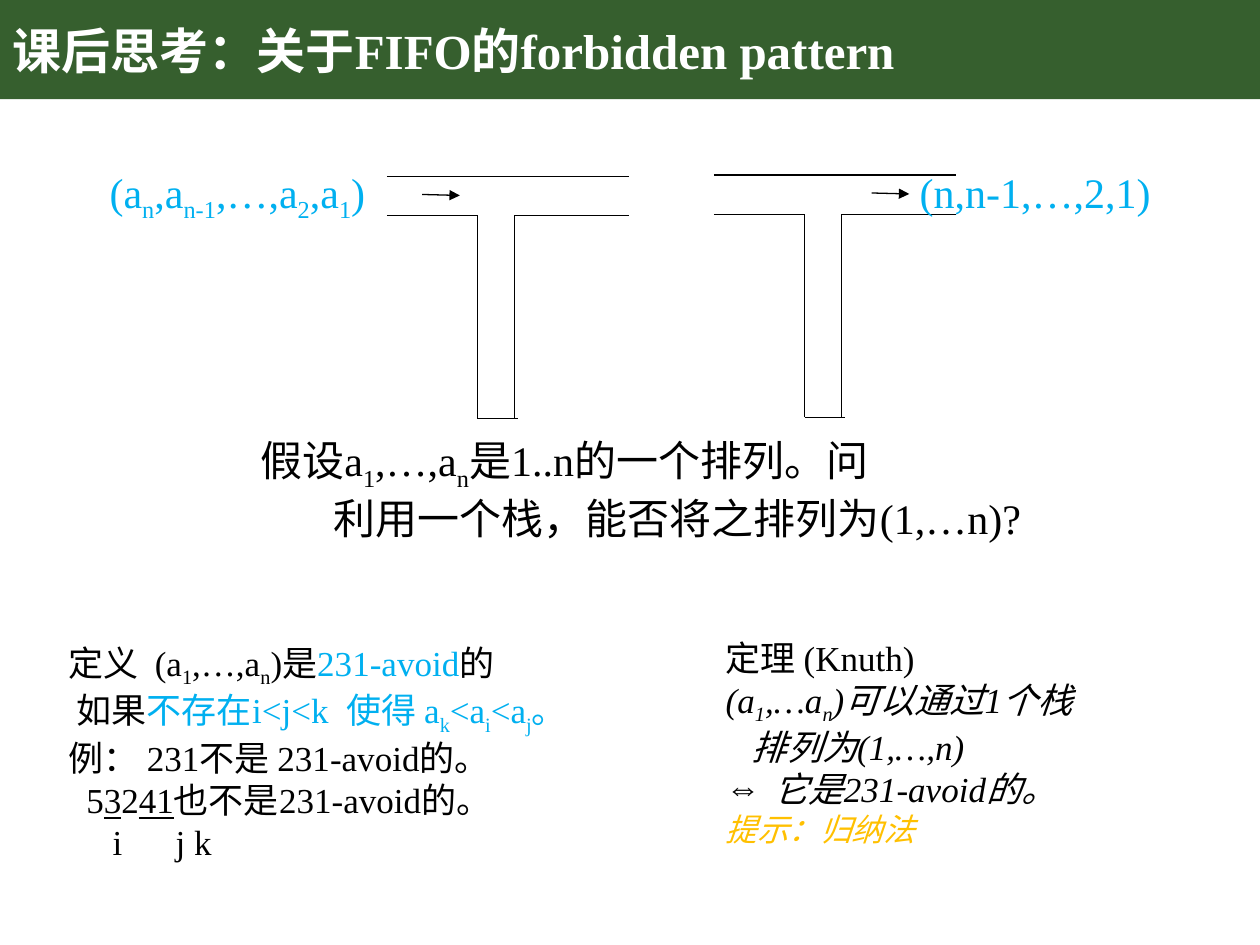
from dataclasses import dataclass
from typing import Optional

from lxml.etree import SubElement
from pptx import Presentation
from pptx.dml.color import RGBColor
from pptx.enum.shapes import MSO_CONNECTOR as Connector, MSO_SHAPE as Shape
from pptx.enum.text import MSO_ANCHOR as Anchor, MSO_AUTO_SIZE as AutoSize
from pptx.oxml.ns import qn
from pptx.util import Cm, Pt


@dataclass(frozen=True)
class Theme:
    font: str = "Times New Roman"
    banner: str = "365F2E"
    white: str = "FFFFFF"
    ink: str = "000000"
    accent: str = "00B0F0"
    hint: str = "FFC000"
    title_size: int = 28
    large: int = 24
    body: int = 20
    small: int = 18
    line_width: float = 0.75


THEME = Theme()


@dataclass(frozen=True)
class Span:
    text: str
    color: str = THEME.ink
    sub: bool = False
    underline: bool = False


@dataclass(frozen=True)
class Para:
    spans: list[Span]
    size: int = THEME.body
    bold: bool = False
    italic: bool = False
    margin: float = 0
    hanging: float = 0
    bullet: Optional[str] = None
    tab: Optional[float] = None


@dataclass(frozen=True)
class TextBlock:
    left: float
    top: float
    width: float
    height: float
    paras: list[Para]
    centered: bool = False


@dataclass(frozen=True)
class Stack:
    left: float
    top: float
    arrow_offset: float


def indexed(text: str, color: str = THEME.ink) -> list[Span]:
    """Split text at bars; every second piece is a subscript."""
    return [Span(piece, color, sub=bool(i % 2))
            for i, piece in enumerate(text.split("|"))]


def add_span(para, span: Span, style: Para) -> None:
    for i, line in enumerate(span.text.split("\n")):
        if i:
            para.add_line_break()
        run = para.add_run()
        run.text = line
        font = run.font
        font.name, font.size = THEME.font, Pt(style.size)
        font.bold, font.italic = style.bold, style.italic
        font.color.rgb = RGBColor.from_string(span.color)
        if span.underline:
            font.underline = True
        if span.sub:
            run._r.get_or_add_rPr().set("baseline", "-25000")


def format_para(para, style: Para) -> None:
    props = para._p.get_or_add_pPr()
    if style.margin:
        props.set("marL", str(Cm(style.margin)))
        props.set("indent", str(-Cm(style.hanging)))
    if style.bullet:
        SubElement(props, qn("a:buFont"), typeface=THEME.font)
        SubElement(props, qn("a:buChar"), char=style.bullet)
    if style.tab:
        tabs = SubElement(props, qn("a:tabLst"))
        SubElement(tabs, qn("a:tab"), pos=str(Cm(style.tab)), algn="l")


def add_text(page, block: TextBlock) -> None:
    box = page.shapes.add_textbox(Cm(block.left), Cm(block.top),
                                  Cm(block.width), Cm(block.height))
    frame = box.text_frame
    frame.word_wrap = True
    if block.centered:
        frame.vertical_anchor = Anchor.MIDDLE
    else:
        frame.auto_size = AutoSize.SHAPE_TO_FIT_TEXT
    for i, style in enumerate(block.paras):
        para = frame.add_paragraph() if i else frame.paragraphs[0]
        format_para(para, style)
        for span in style.spans:
            add_span(para, span, style)


def add_line(page, x1: float, y1: float, x2: float, y2: float,
             arrow: bool = False) -> None:
    line = page.shapes.add_connector(Connector.STRAIGHT,
                                     Cm(x1), Cm(y1), Cm(x2), Cm(y2))
    line.line.color.rgb = RGBColor.from_string(THEME.ink)
    line.line.width = Pt(THEME.line_width)
    if arrow:
        SubElement(line.line._get_or_add_ln(), qn("a:tailEnd"), type="triangle")
    SubElement(line._element.spPr, qn("a:effectLst"))


def add_stack(page, stack: Stack) -> None:
    """Draw a T-shaped track: a channel with a shaft hanging below it."""
    x, y = stack.left, stack.top
    end, neck, floor = x + 4.88, y + 0.79, y + 4.88
    shaft_left, shaft_right = x + 1.83, x + 2.57
    add_line(page, x, y, end, y)
    add_line(page, x, neck, shaft_left, neck)
    add_line(page, shaft_right, neck, end, neck)
    for side in (shaft_left, shaft_right):
        add_line(page, side, neck, side, floor)
    add_line(page, shaft_left, floor, x + 2.64, floor)
    start = x + stack.arrow_offset
    add_line(page, start, y + 0.36, start + 0.76, y + 0.38, arrow=True)


TITLE = TextBlock(0, 0, 21.9, 2, [
    Para([Span("课后思考：关于FIFO的forbidden pattern", THEME.white)],
         THEME.title_size, bold=True)], centered=True)

INPUT = TextBlock(1.96, 3.23, 7.19, 1.27, [
    Para(indexed("(a|n|,a|n-1|,…,a|2|,a|1|)", THEME.accent), THEME.large)])

OUTPUT = TextBlock(18.29, 3.23, 5.82, 1.27, [
    Para([Span("(n,n-1,…,2,1)", THEME.accent)], THEME.large)])

QUESTION = TextBlock(5, 8.64, 19.1, 2.31, [
    Para(indexed("假设a|1|,…,a|n|是1..n的一个排列。问"), THEME.large),
    Para([Span("利用一个栈，能否将之排列为(1,…n)?")], THEME.large, margin=1.48)])

DEFINITION = TextBlock(1.14, 12.8, 12.83, 4.52, [
    Para([*indexed("定义  (a|1|,…,a|n|)是"), Span("231-avoid", THEME.accent),
          Span("的\n 如果"),
          *indexed("不存在i<j<k  使得 a|k|<a|i|<a|j|。", THEME.accent)]),
    Para([Span("例： 231不是 231-avoid的。")]),
    Para([Span("5"), Span("3", underline=True), Span("2"),
          Span("41", underline=True), Span("也不是231-avoid的。")], margin=0.35),
    Para([Span("i\tj k")], margin=0.88, tab=1.61)])

THEOREM = TextBlock(14.38, 12.7, 9.8, 4.52, [
    Para([Span("定理 (Knuth)")]),
    Para(indexed("(a|1|,…a|n|)可以通过1个栈"), italic=True),
    Para([Span("排列为(1,…,n)")], italic=True, margin=0.53),
    Para([Span("它是231-avoid的。")], italic=True,
         margin=0.97, hanging=0.97, bullet="⇔"),
    Para([Span("提示：归纳法", THEME.hint)], THEME.small, italic=True)])

STACKS = [Stack(7.8, 3.56, 0.71), Stack(14.39, 3.53, 3.18)]


def main() -> None:
    deck = Presentation()
    deck.slide_width, deck.slide_height = Cm(25.4), Cm(19.05)
    page = deck.slides.add_slide(deck.slide_layouts[6])

    # Title banner
    banner = page.shapes.add_shape(Shape.RECTANGLE, 0, 0, deck.slide_width, Cm(2))
    banner.shadow.inherit = False
    banner.fill.solid()
    banner.fill.fore_color.rgb = RGBColor.from_string(THEME.banner)
    banner.line.fill.background()

    # Stack diagrams
    for stack in STACKS:
        add_stack(page, stack)

    # Title, labels and statements
    for block in (TITLE, INPUT, OUTPUT, QUESTION, DEFINITION, THEOREM):
        add_text(page, block)

    deck.save("out.pptx")


if __name__ == "__main__":
    main()
